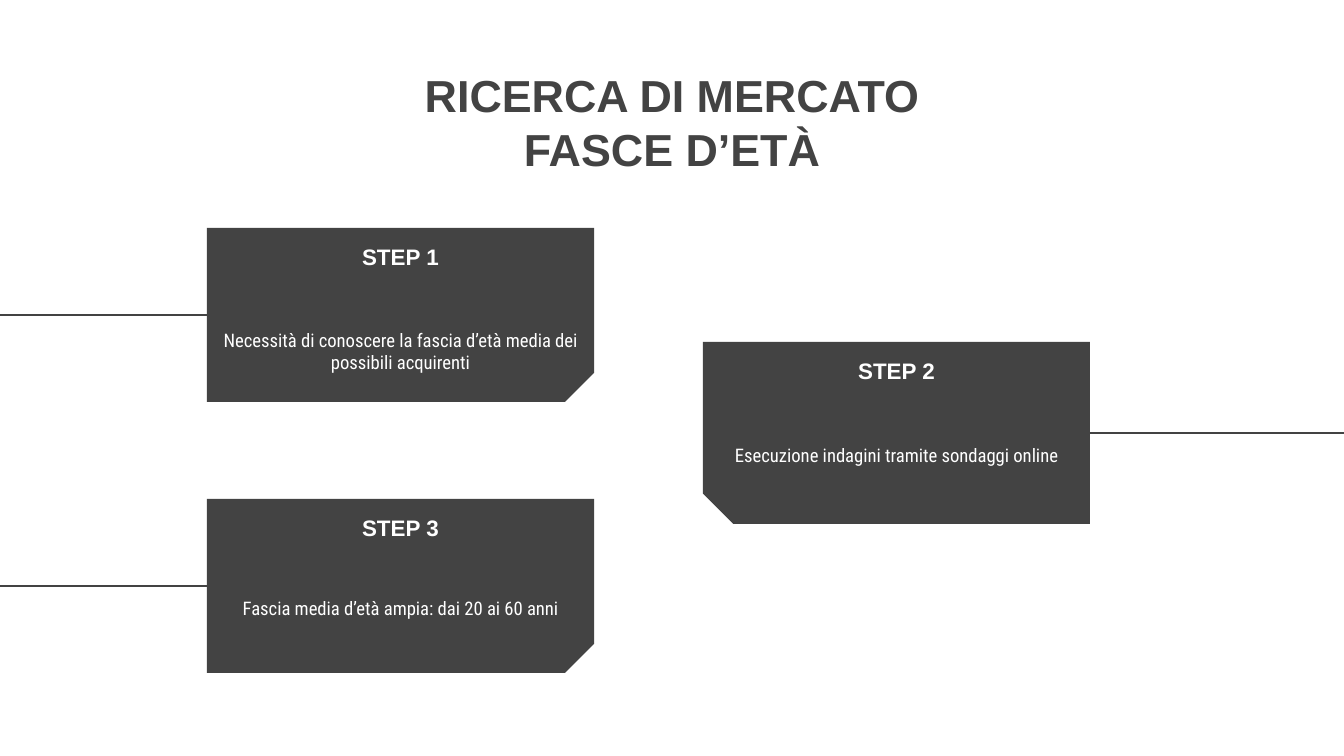
from dataclasses import dataclass

from lxml.etree import SubElement
from pptx import Presentation
from pptx.dml.color import RGBColor
from pptx.enum.shapes import MSO_CONNECTOR, MSO_SHAPE
from pptx.enum.text import MSO_ANCHOR, PP_ALIGN
from pptx.oxml.ns import qn
from pptx.slide import Slide
from pptx.util import Emu, Pt

EMU_PER_PX = 914400 / 134.4
SLIDE_W, SLIDE_H = 1344, 756
CARD_W = 387
DARK, WHITE = "434343", "FFFFFF"
HEADING_FONT, BODY_FONT = "Arial", "Roboto Condensed"


@dataclass
class Step:
    label: str
    body: str
    left: int
    top: int
    height: int
    line_y: int
    on_right: bool = False


STEPS = [
    Step("STEP 1", "Necessità di conoscere la fascia d’età media dei possibili acquirenti",
         207, 228, 174, 315),
    Step("STEP 2", "Esecuzione indagini tramite sondaggi online",
         703, 342, 182, 433, on_right=True),
    Step("STEP 3", "Fascia media d’età ampia: dai 20 ai 60 anni",
         207, 499, 174, 586),
]


def px(n: float) -> Emu:
    return Emu(round(n * EMU_PER_PX))


def color(value: str) -> RGBColor:
    return RGBColor.from_string(value)


def add_text(s: Slide, text: str, left: int, top: int, width: int, height: int, *,
             size: int, font: str = HEADING_FONT, fill: str = WHITE,
             bold: bool = True, anchor: MSO_ANCHOR = MSO_ANCHOR.MIDDLE) -> None:
    tf = s.shapes.add_textbox(px(left), px(top), px(width), px(height)).text_frame
    tf.word_wrap = True
    tf.vertical_anchor = anchor
    tf.margin_left = tf.margin_right = tf.margin_top = tf.margin_bottom = Pt(7.2)
    p = tf.paragraphs[0]
    p.alignment = PP_ALIGN.CENTER
    p.text = text
    for r in p.runs:
        r.font.name, r.font.size, r.font.bold = font, Pt(size), bold
        r.font.color.rgb = color(fill)


def add_line(s: Slide, x1: int, x2: int, y: int) -> None:
    line = s.shapes.add_connector(MSO_CONNECTOR.STRAIGHT, px(x1), px(y), px(x2), px(y))
    line.line.color.rgb = color(DARK)
    line.line.width = Pt(0.75)
    SubElement(line._element.spPr, qn("a:effectLst"))


def add_card(s: Slide, step: Step) -> None:
    """Draw a rectangle turned upright, so its snipped corner is at the bottom."""
    shift = (CARD_W - step.height) / 2
    sp = s.shapes.add_shape(MSO_SHAPE.SNIP_1_RECTANGLE, px(step.left + shift),
                            px(step.top - shift), px(step.height), px(CARD_W))
    sp.adjustments[0] = 0.167
    sp.rotation = 270 if step.on_right else 90
    if step.on_right:
        sp._element.spPr.get_or_add_xfrm().set("flipH", "1")
    sp.shadow.inherit = False
    sp.fill.solid()
    sp.fill.fore_color.rgb = color(DARK)
    sp.line.fill.background()


def add_step(s: Slide, step: Step) -> None:
    if step.on_right:
        add_line(s, SLIDE_W + 19, step.left + CARD_W - 107, step.line_y)
    else:
        add_line(s, step.left + 149, -3, step.line_y)
    add_card(s, step)
    add_text(s, step.label, step.left, step.top, CARD_W, 58, size=12)
    add_text(s, step.body, step.left, step.line_y, CARD_W, 87, size=10,
             font=BODY_FONT, bold=False, anchor=MSO_ANCHOR.TOP)


def main() -> None:
    prs = Presentation()
    prs.slide_width, prs.slide_height = px(SLIDE_W), px(SLIDE_H)
    s = prs.slides.add_slide(prs.slide_layouts[6])
    add_text(s, "RICERCA DI MERCATO\nFASCE D’ETÀ", 289, 52, 766, 139, size=24, fill=DARK)
    for step in STEPS:
        add_step(s, step)
    prs.save("out.pptx")


if __name__ == "__main__":
    main()
